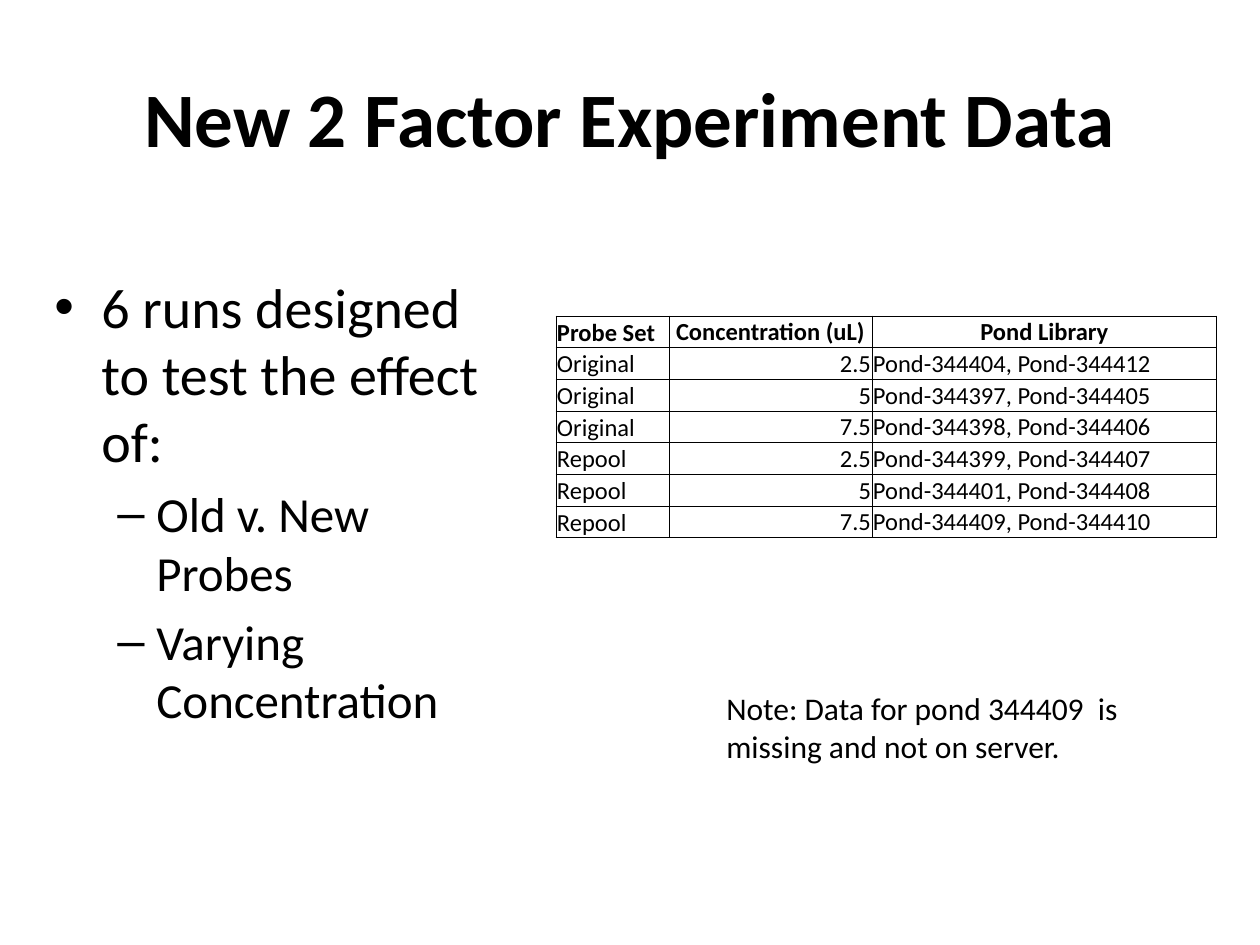
from dataclasses import dataclass

from lxml.etree import SubElement
from pptx import Presentation
from pptx.dml.color import RGBColor
from pptx.enum.text import MSO_ANCHOR as Anchor, PP_ALIGN as Align
from pptx.oxml.ns import qn
from pptx.util import Pt

TITLE = "New 2 Factor Experiment Data"
POINTS = [
    (0, "6 runs designed to test the effect of:"),
    (1, "Old v. New Probes"),
    (1, "Varying Concentration"),
]
RUNS = [
    ("Probe Set", "Concentration (uL)", "Pond Library"),
    ("Original", "2.5", "Pond-344404, Pond-344412"),
    ("Original", "5", "Pond-344397, Pond-344405"),
    ("Original", "7.5", "Pond-344398, Pond-344406"),
    ("Repool", "2.5", "Pond-344399, Pond-344407"),
    ("Repool", "5", "Pond-344401, Pond-344408"),
    ("Repool", "7.5", "Pond-344409, Pond-344410"),
]
NOTE = "Note: Data for pond 344409  is missing and not on server."

SLIDE = (1260, 945)
TITLE_BOX = (63, 38, 1134, 157)
POINTS_BOX = (42, 266, 450, 532)
RUNS_BOX = (556, 316, 661, 222)
NOTE_BOX = (714, 683, 456, 89)
COLUMN_WIDTHS = (113, 203, 345)
HEADER_ALIGNS = (Align.LEFT, Align.CENTER, Align.CENTER)
BODY_ALIGNS = (Align.LEFT, Align.RIGHT, Align.LEFT)
COLUMN_ANCHORS = (Anchor.BOTTOM, Anchor.MIDDLE, Anchor.MIDDLE)
BULLETS = [("•", 47, 47), ("–", 102, 39)]


@dataclass(frozen=True)
class Theme:
    font: str = "Calibri"
    bullet_font: str = "Arial"
    ink: str = "000000"
    title: int = 44
    points: tuple = (32, 28)
    table: int = 14
    note: int = 18
    border: float = 0.5


THEME = Theme()


def px(length):
    return round(length * 914400 / 126)


def scaled(box):
    return [px(length) for length in box]


def style(paragraph, size, bold=False, align=Align.LEFT):
    paragraph.alignment = align
    font = paragraph.font
    font.name, font.size, font.bold = THEME.font, Pt(size), bold
    font.color.rgb = RGBColor.from_string(THEME.ink)


def add_bullet(paragraph, level):
    mark, margin, hang = BULLETS[level]
    properties = paragraph._p.get_or_add_pPr()
    properties.set("marL", str(px(margin)))
    properties.set("indent", str(-px(hang)))
    SubElement(properties, qn("a:buFont"), typeface=THEME.bullet_font)
    SubElement(properties, qn("a:buChar"), char=mark)
    defaults = properties.find(qn("a:defRPr"))
    if defaults is not None:
        properties.append(defaults)


def add_borders(cell):
    properties = cell._tc.get_or_add_tcPr()
    for position, side in enumerate(("lnL", "lnR", "lnT", "lnB")):
        line = SubElement(properties, qn(f"a:{side}"), w=str(Pt(THEME.border)))
        fill = SubElement(line, qn("a:solidFill"))
        SubElement(fill, qn("a:srgbClr"), val=THEME.ink)
        properties.insert(position, line)


def add_title(slide):
    title = slide.shapes.title
    title.left, title.top, title.width, title.height = scaled(TITLE_BOX)
    title.text_frame.text = TITLE
    title.text_frame.vertical_anchor = Anchor.MIDDLE
    style(title.text_frame.paragraphs[0], THEME.title, True, Align.CENTER)


def add_text(slide, box):
    frame = slide.shapes.add_textbox(*scaled(box)).text_frame
    frame.word_wrap = True
    return frame


def add_points(slide):
    frame = add_text(slide, POINTS_BOX)
    for index, (level, point) in enumerate(POINTS):
        paragraph = frame.add_paragraph() if index else frame.paragraphs[0]
        paragraph.text, paragraph.level = point, level
        size = THEME.points[level]
        style(paragraph, size)
        paragraph.space_before = Pt(size * 0.2)
        add_bullet(paragraph, level)


def add_runs(slide):
    table = slide.shapes.add_table(len(RUNS), len(COLUMN_WIDTHS), *scaled(RUNS_BOX)).table
    table.horz_banding = False
    for column, width in zip(table.columns, COLUMN_WIDTHS):
        column.width = px(width)
    for row, values in enumerate(RUNS):
        header = row == 0
        aligns = HEADER_ALIGNS if header else BODY_ALIGNS
        for column, value in enumerate(values):
            cell = table.cell(row, column)
            cell.text = value
            cell.vertical_anchor = COLUMN_ANCHORS[column]
            cell.margin_left = cell.margin_right = cell.margin_top = px(1)
            cell.margin_bottom = 0
            cell.fill.background()
            style(cell.text_frame.paragraphs[0], THEME.table, header, aligns[column])
            add_borders(cell)


def add_note(slide):
    frame = add_text(slide, NOTE_BOX)
    frame.text = NOTE
    style(frame.paragraphs[0], THEME.note)


def main():
    deck = Presentation()
    deck.slide_width, deck.slide_height = scaled(SLIDE)
    slide = deck.slides.add_slide(deck.slide_layouts.get_by_name("Title Only"))
    add_title(slide)
    add_points(slide)
    add_runs(slide)
    add_note(slide)
    deck.save("out.pptx")


if __name__ == "__main__":
    main()
